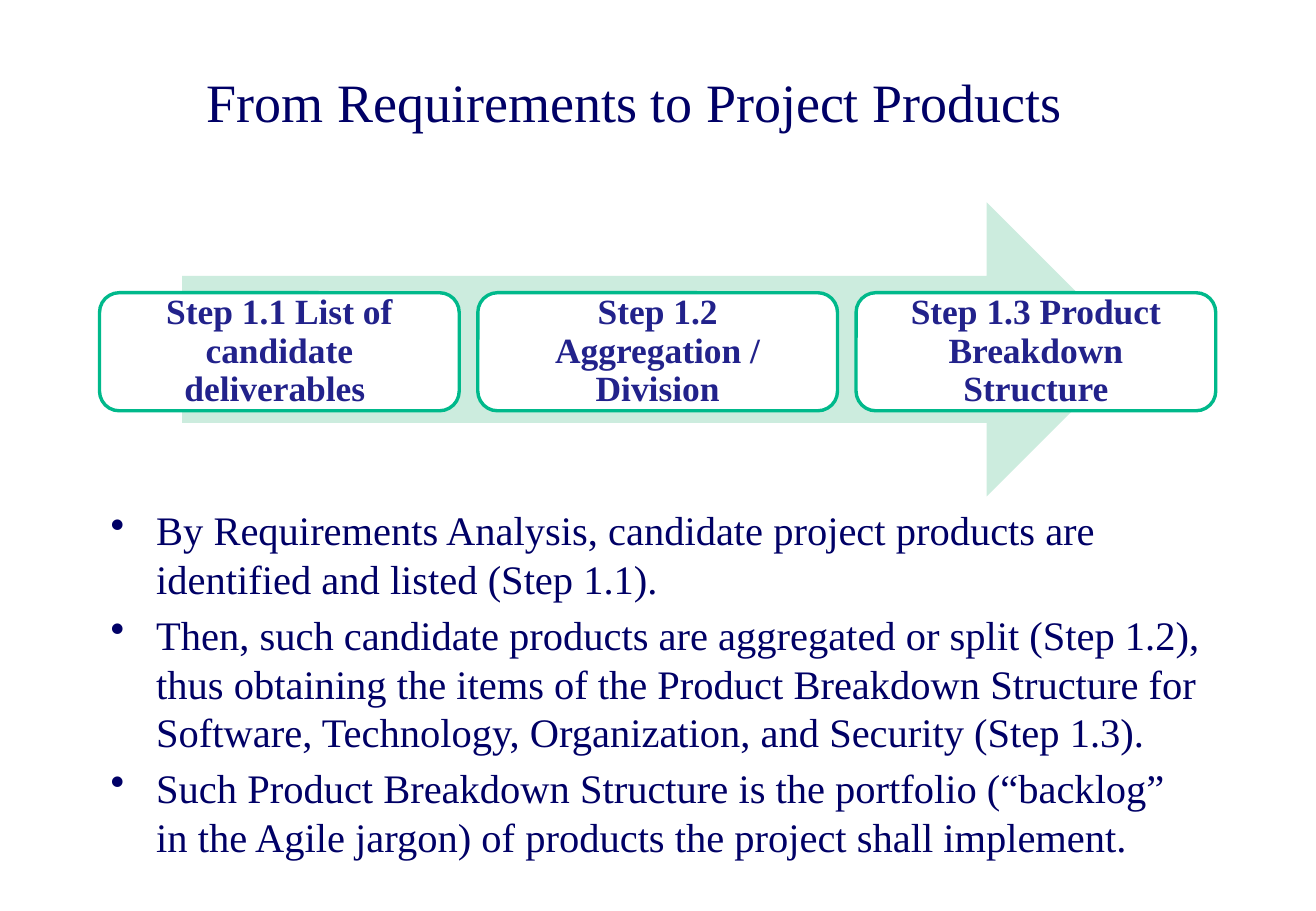
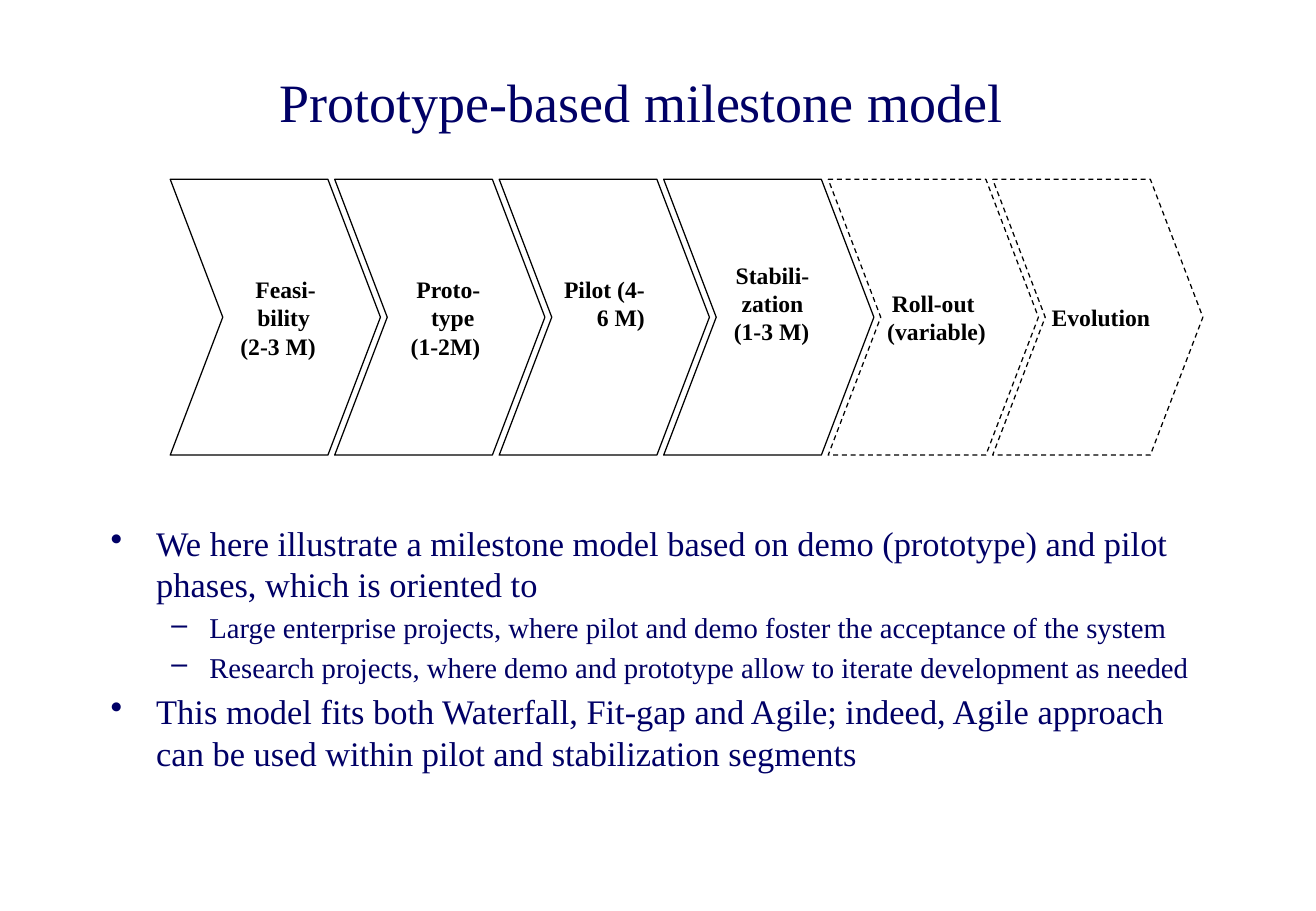
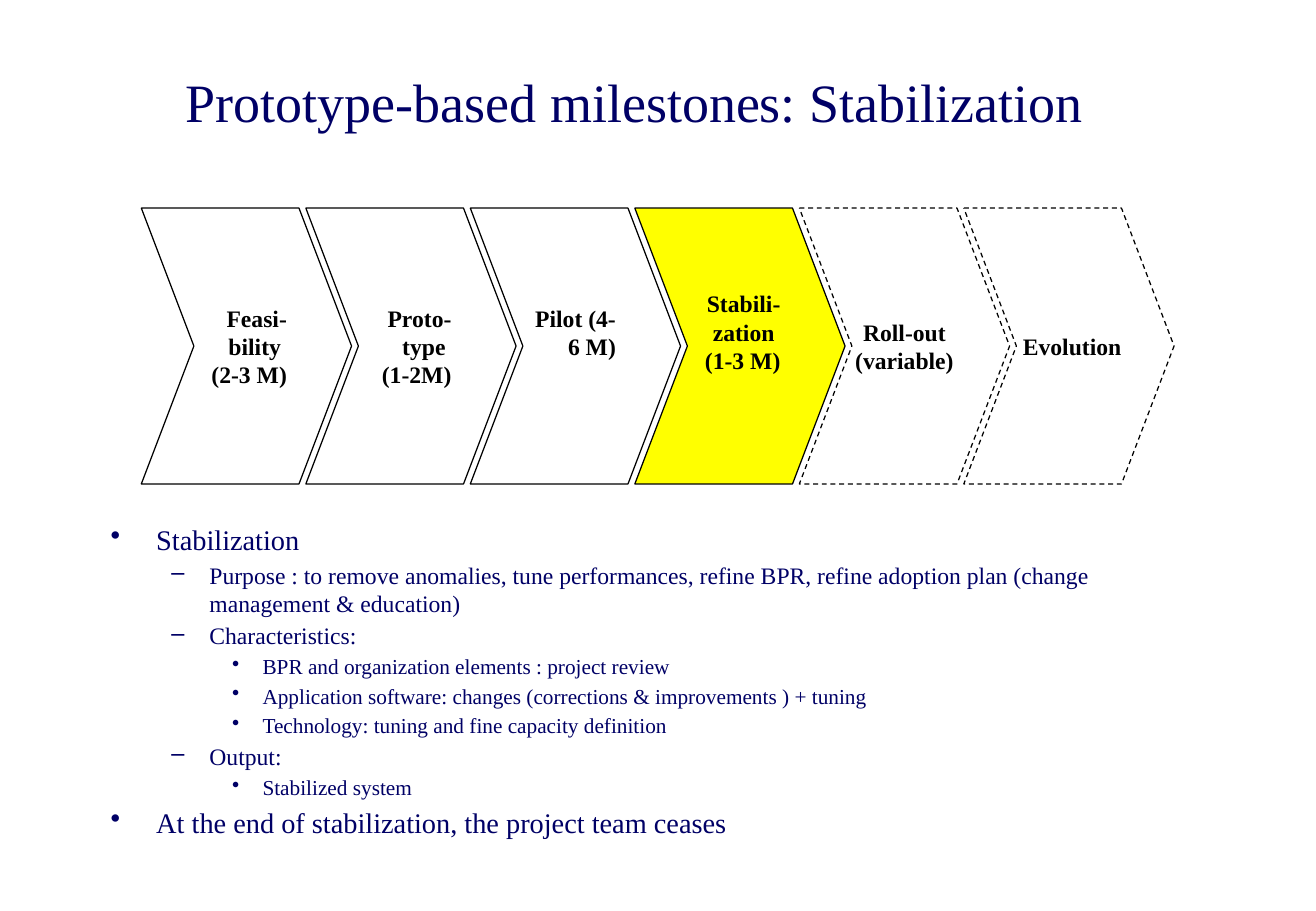
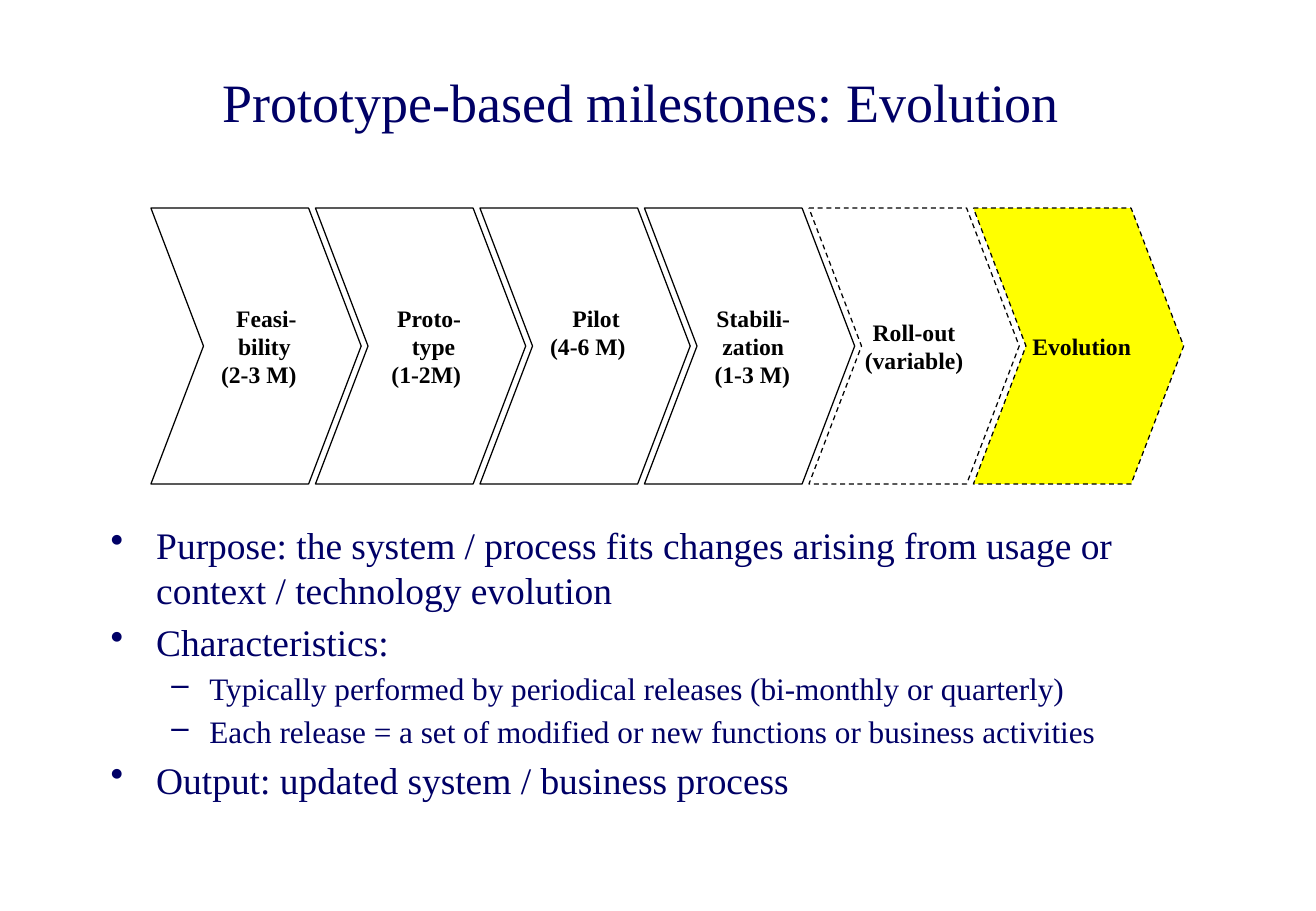
from dataclasses import dataclass, replace
from typing import Any, Optional

from lxml.etree import SubElement
from pptx import Presentation
from pptx.dml.color import RGBColor
from pptx.enum.dml import MSO_LINE
from pptx.enum.shapes import MSO_SHAPE
from pptx.enum.text import MSO_ANCHOR, PP_ALIGN
from pptx.oxml.ns import qn
from pptx.util import Pt


# Theme: colours, font and type sizes
@dataclass(frozen=True)
class Theme:
    font: str = "Times New Roman"
    navy: str = "000066"
    indigo: str = "22228B"
    green: str = "00B98B"
    mint: str = "CCECDE"
    white: str = "FFFFFF"
    black: str = "000000"
    yellow: str = "FFFF00"
    title_size: float = 32
    step_size: float = 21
    phase_size: float = 14


THEME = Theme()


# Content types; all lengths are points
@dataclass(frozen=True)
class Box:
    left: float
    top: float
    width: float
    height: float

    def emu(self) -> tuple:
        return tuple(Pt(v) for v in (self.left, self.top, self.width, self.height))


@dataclass(frozen=True)
class Insets:
    left: float = 7.2
    top: float = 3.6
    right: float = 7.2
    bottom: float = 3.6


@dataclass(frozen=True)
class Bullet:
    text: str
    level: int = 0


@dataclass(frozen=True)
class BulletLevel:
    symbol: str
    margin: float
    hanging: float


@dataclass(frozen=True)
class Phase:
    lines: tuple[str, ...]
    insets: Insets = Insets()
    aligns: tuple = (PP_ALIGN.RIGHT, PP_ALIGN.RIGHT)
    planned: bool = True


@dataclass(frozen=True)
class MilestoneSlide:
    title: str
    left: float
    top: float
    phases: tuple[Phase, ...]
    sizes: tuple[float, ...]
    bullets: tuple[Bullet, ...]
    current: Optional[int] = None


# Shared geometry
TITLE_BOX = Box(58.5, 24, 643.5, 72)
STEPS_BODY = Box(58.5, 294, 663, 221.5)
MILESTONE_BODY = Box(58.5, 306, 663, 174)
ARROW_BOX = Box(108, 120, 564, 174.3)
FIRST_STEP = Box(59, 173.5, 213.2, 70)
STEP_PITCH = 224.2
STEP_INSETS = Insets(6.5, 6.5, 6.5, 6.5)
PHASE_WIDTH, PHASE_HEIGHT, PHASE_PITCH = 124.6, 163.5, 97.5
LEVELS = (
    BulletLevel("•", 27, 27),
    BulletLevel("–", 58.5, 22.5),
    BulletLevel("•", 90, 18),
)

# Phases of the milestone model; a raised label leaves one line free below it
RAISED = 3.6 + 16.9
CENTERED = (PP_ALIGN.CENTER, PP_ALIGN.CENTER)
FEASIBILITY = Phase(("Feasi-bility ", "(2-3 M) "))
PROTOTYPE = Phase(("Proto-type ", "(1-2M)"))
PILOT = Phase(("Pilot (4-6 M)",), Insets(bottom=RAISED))
STABILIZATION = Phase(("Stabili-zation ", "(1-3 M)"), Insets(left=0, bottom=RAISED))
ROLL_OUT = Phase(("Roll-out", "(variable)"), Insets(left=0, right=0), CENTERED, False)
EVOLUTION = Phase(("Evolution",), Insets(left=0, right=0), planned=False)

STEPS = (
    "Step 1.1 List of candidate deliverables ",
    "Step 1.2 Aggregation / Division",
    "Step 1.3 Product Breakdown Structure",
)
STEP_BULLETS = (
    Bullet("By Requirements Analysis, candidate project products are identified and listed (Step 1.1)."),
    Bullet("Then, such candidate products are aggregated or split (Step 1.2), thus obtaining the items "
           "of the Product Breakdown Structure for Software, Technology, Organization, and Security (Step 1.3)."),
    Bullet("Such Product Breakdown Structure is the portfolio (“backlog” in the Agile jargon) "
           "of products the project shall implement."),
)

MILESTONE_SLIDES = (
    MilestoneSlide(
        "Prototype-based milestone model", 100.9, 106.3,
        (FEASIBILITY, PROTOTYPE, PILOT, STABILIZATION,
         replace(ROLL_OUT, aligns=(PP_ALIGN.CENTER, PP_ALIGN.RIGHT)), EVOLUTION),
        (20.4, 17),
        (
            Bullet("We here illustrate a milestone model based on demo (prototype) and pilot phases, "
                   "which is oriented to"),
            Bullet("Large enterprise projects, where pilot and demo foster the acceptance of the system", 1),
            Bullet("Research projects, where demo and prototype allow to iterate development as needed", 1),
            Bullet("This model fits both Waterfall, Fit-gap and Agile; indeed, Agile approach can be used "
                   "within pilot and stabilization segments"),
        ),
    ),
    MilestoneSlide(
        "Prototype-based milestones: Stabilization ", 83.8, 123.4,
        (FEASIBILITY, PROTOTYPE, PILOT, STABILIZATION, ROLL_OUT, EVOLUTION),
        (16.8, 14, 12.6),
        (
            Bullet("Stabilization"),
            Bullet("Purpose : to remove anomalies, tune performances, refine BPR, refine adoption plan "
                   "(change management & education)", 1),
            Bullet("Characteristics:", 1),
            Bullet("BPR and organization elements : project review", 2),
            Bullet("Application software: changes (corrections & improvements ) + tuning", 2),
            Bullet("Technology: tuning and fine capacity definition", 2),
            Bullet("Output:", 1),
            Bullet("Stabilized system", 2),
            Bullet("At the end of stabilization, the project team ceases"),
        ),
        current=3,
    ),
    MilestoneSlide(
        "Prototype-based milestones: Evolution", 89.5, 123.4,
        (FEASIBILITY, PROTOTYPE, replace(PILOT, lines=("Pilot ", "(4-6 M)")),
         replace(STABILIZATION, insets=Insets(left=0)), ROLL_OUT, EVOLUTION),
        (22.2, 18.5),
        (
            Bullet("Purpose: the system / process fits changes arising from usage or context / "
                   "technology evolution"),
            Bullet("Characteristics:"),
            Bullet("Typically performed by periodical releases (bi-monthly or quarterly)", 1),
            Bullet("Each release = a set of modified or new functions or business activities", 1),
            Bullet("Output: updated system / business process"),
        ),
        current=5,
    ),
)


# Formatting helpers
def apply_format(target: Any, values: dict[str, Any]) -> None:
    for attribute, value in values.items():
        setattr(target, attribute, value)


def format_frame(frame: Any, insets: Insets, anchor: Any) -> None:
    apply_format(frame, {
        "word_wrap": True,
        "vertical_anchor": anchor,
        "margin_left": Pt(insets.left),
        "margin_top": Pt(insets.top),
        "margin_right": Pt(insets.right),
        "margin_bottom": Pt(insets.bottom),
    })


def add_line(frame: Any, index: int, text: str, size: float, color: str,
             bold: bool = False, **layout: Any) -> Any:
    paragraph = frame.add_paragraph() if index else frame.paragraphs[0]
    apply_format(paragraph, layout)
    run = paragraph.add_run()
    run.text = text
    apply_format(run.font, {"name": THEME.font, "size": Pt(size), "bold": bold})
    run.font.color.rgb = RGBColor.from_string(color)
    return paragraph


def set_bullet(paragraph: Any, level: BulletLevel) -> None:
    properties = paragraph._p.get_or_add_pPr()
    properties.set("marL", str(Pt(level.margin)))
    properties.set("indent", str(-Pt(level.hanging)))
    SubElement(properties, qn("a:buChar")).set("char", level.symbol)


def add_outline(slide: Any, preset: Any, box: Box, fill: str,
                line: Optional[str] = None, weight: float = 0.75) -> Any:
    shape = slide.shapes.add_shape(preset, *box.emu())
    shape.shadow.inherit = False
    shape.fill.solid()
    shape.fill.fore_color.rgb = RGBColor.from_string(fill)
    if line:
        shape.line.color.rgb = RGBColor.from_string(line)
        shape.line.width = Pt(weight)
    else:
        shape.line.fill.background()
    return shape


# Slide parts
def add_titled_slide(deck: Any, title: str) -> Any:
    slide = deck.slides.add_slide(deck.slide_layouts[6])
    frame = slide.shapes.add_textbox(*TITLE_BOX.emu()).text_frame
    format_frame(frame, Insets(), MSO_ANCHOR.MIDDLE)
    add_line(frame, 0, title, THEME.title_size, THEME.navy, alignment=PP_ALIGN.CENTER)
    return slide


def add_bullets(slide: Any, box: Box, bullets: tuple[Bullet, ...],
                sizes: tuple[float, ...], anchor: Any = MSO_ANCHOR.TOP) -> None:
    frame = slide.shapes.add_textbox(*box.emu()).text_frame
    format_frame(frame, Insets(), anchor)
    for index, bullet in enumerate(bullets):
        size = sizes[bullet.level]
        spacing = {"space_before": Pt(round(size * 0.18, 1))} if index else {}
        paragraph = add_line(frame, index, bullet.text, size, THEME.navy, **spacing)
        set_bullet(paragraph, LEVELS[bullet.level])


def add_step(slide: Any, index: int, label: str) -> None:
    box = replace(FIRST_STEP, left=FIRST_STEP.left + index * STEP_PITCH)
    step = add_outline(slide, MSO_SHAPE.ROUNDED_RECTANGLE, box, THEME.white, THEME.green, 2)
    format_frame(step.text_frame, STEP_INSETS, MSO_ANCHOR.MIDDLE)
    add_line(step.text_frame, 0, label, THEME.step_size, THEME.indigo, True,
             alignment=PP_ALIGN.CENTER, line_spacing=0.9)


def add_phase(slide: Any, phase: Phase, left: float, top: float, current: bool) -> None:
    box = Box(left, top, PHASE_WIDTH, PHASE_HEIGHT)
    fill = THEME.yellow if current else THEME.white
    chevron = add_outline(slide, MSO_SHAPE.CHEVRON, box, fill, THEME.black)
    chevron.adjustments[0] = 0.25
    if not phase.planned:
        chevron.line.dash_style = MSO_LINE.DASH
    format_frame(chevron.text_frame, phase.insets, MSO_ANCHOR.MIDDLE)
    for index, (text, align) in enumerate(zip(phase.lines, phase.aligns)):
        add_line(chevron.text_frame, index, text, THEME.phase_size, THEME.black, True,
                 alignment=align)


# Slides
def build_steps_slide(deck: Any) -> None:
    slide = add_titled_slide(deck, "From Requirements to Project Products ")
    add_outline(slide, MSO_SHAPE.RIGHT_ARROW, ARROW_BOX, THEME.mint)
    for index, label in enumerate(STEPS):
        add_step(slide, index, label)
    add_bullets(slide, STEPS_BODY, STEP_BULLETS, (24,), MSO_ANCHOR.MIDDLE)


def build_milestone_slide(deck: Any, content: MilestoneSlide) -> None:
    slide = add_titled_slide(deck, content.title)
    add_bullets(slide, MILESTONE_BODY, content.bullets, content.sizes)
    for index, phase in enumerate(content.phases):
        add_phase(slide, phase, content.left + index * PHASE_PITCH, content.top,
                  index == content.current)


def main() -> None:
    deck = Presentation()
    apply_format(deck, {"slide_width": Pt(780), "slide_height": Pt(540)})
    build_steps_slide(deck)
    for content in MILESTONE_SLIDES:
        build_milestone_slide(deck, content)
    deck.save("out.pptx")


if __name__ == "__main__":
    main()
